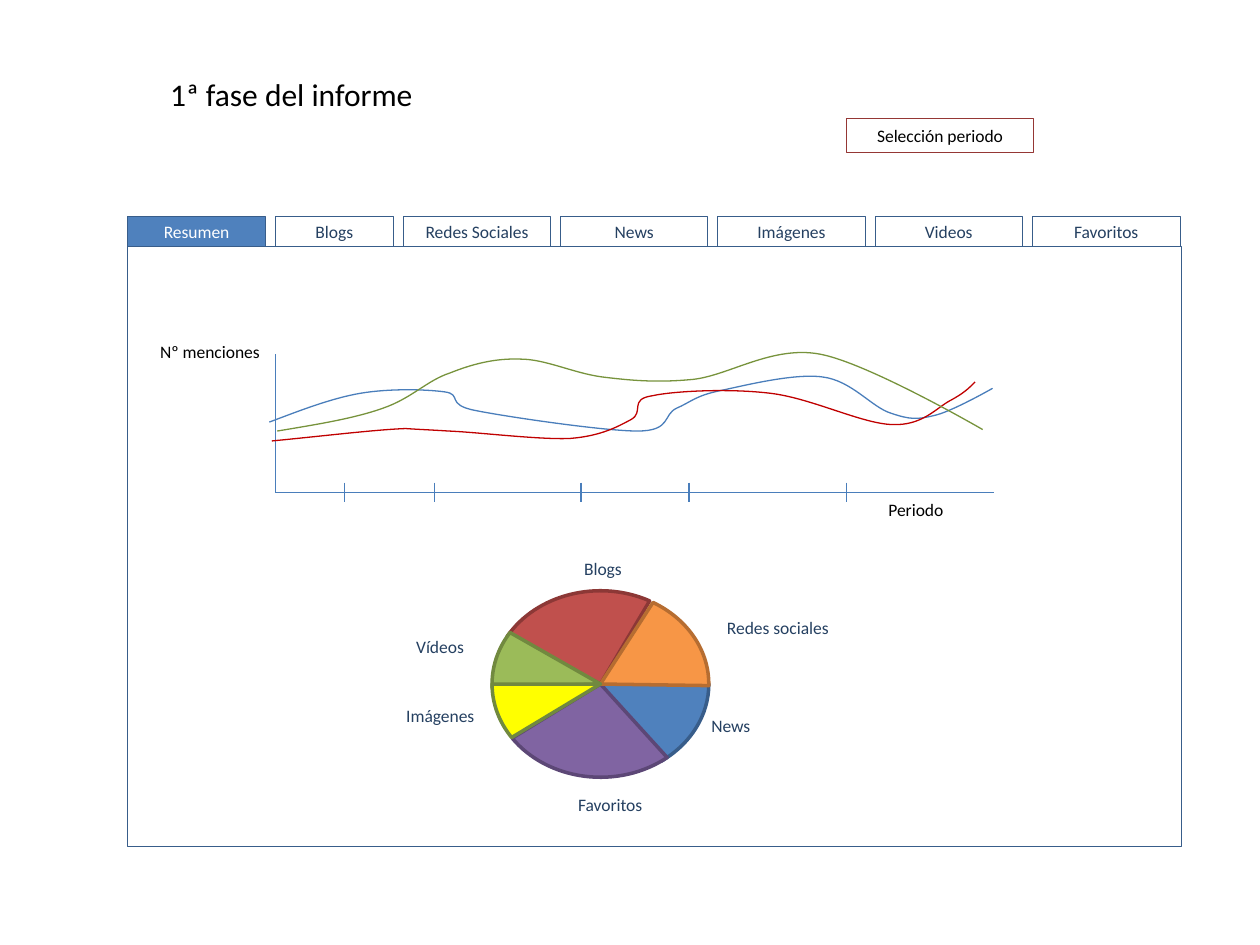
import collections
import math

import lxml.etree
import pptx
import pptx.dml.color
import pptx.enum.shapes
import pptx.enum.text
import pptx.oxml.ns
import pptx.util

Box = collections.namedtuple("Box", "left top width height")
Cm = pptx.util.Cm
ALIGN = pptx.enum.text.PP_ALIGN
ANCHOR = pptx.enum.text.MSO_ANCHOR

BLACK, NAVY, WHITE = "000000", "254061", "FFFFFF"
BORDER, AXIS, ACCENT = "385D8A", "4A7EBB", "4F81BD"
LABEL_HEIGHT = 0.68

TABS = [("Resumen", 2.77), ("Blogs", 2.38), ("Redes Sociales", 2.97), ("News", 2.97),
        ("Imágenes", 2.97), ("Videos", 2.97), ("Favoritos", 2.98)]
TAB_GAP = 0.2

TICKS = [1.38, 3.2, 6.15, 8.33, 11.51]
CURVES = {
    AXIS: [
        (-0.13, 1.37), (0.48, 1.14), (1.12, 0.89), (1.7, 0.79), (2.29, 0.69), (3.02, 0.71),
        (3.4, 0.76), (3.78, 0.81), (3.4, 1.02), (4.04, 1.14), (4.7, 1.27), (6.63, 1.55),
        (7.29, 1.55), (7.98, 1.55), (7.8, 1.22), (8.08, 1.09), (8.36, 0.97), (8.46, 0.84),
        (8.94, 0.74), (9.42, 0.64), (10.44, 0.38), (11.02, 0.46), (11.61, 0.53), (12.01, 1.07),
        (12.4, 1.19), (12.78, 1.32), (12.93, 1.32), (13.26, 1.24), (13.61, 1.17), (14.45, 0.69),
        (14.45, 0.69)],
    "C00000": [
        (-0.08, 1.75), (0.97, 1.65), (2.03, 1.52), (2.62, 1.5), (2.91, 1.52), (3.19, 1.53),
        (3.48, 1.55), (4.04, 1.57), (5.33, 1.73), (5.94, 1.7), (6.55, 1.65), (6.88, 1.47),
        (7.16, 1.32), (7.44, 1.17), (7.11, 0.91), (7.59, 0.84), (8.05, 0.74), (9.17, 0.69),
        (9.98, 0.79), (10.8, 0.89), (11.81, 1.4), (12.42, 1.42), (13.03, 1.45), (13.31, 1.09),
        (13.59, 0.94), (13.87, 0.79), (13.97, 0.69), (14.1, 0.56)],
    "77933C": [
        (0.03, 1.55), (0.81, 1.42), (1.57, 1.3), (2.16, 1.09), (2.74, 0.89), (3.05, 0.53),
        (3.51, 0.38), (3.96, 0.2), (4.42, 0.08), (4.93, 0.1), (5.44, 0.1), (5.99, 0.38),
        (6.58, 0.46), (7.16, 0.53), (7.67, 0.58), (8.41, 0.51), (9.14, 0.43), (10.01, -0.18),
        (10.97, 0), (11.94, 0.18), (14.25, 1.52), (14.25, 1.52)],
}

SECTORS = [(0, 56, ACCENT, BORDER), (210.5, 297, "C0504D", "8C3836"),
           (52, 144.5, "8064A2", "5C4776"), (299, 361, "F79646", "B66D31"),
           (178, 213.5, "9BBB59", "71893F"), (145, 180, "FFFF00", "71893F")]
PIE_LABELS = [("Blogs", 1.6, -0.79, 1.27, ALIGN.CENTER),
              ("Redes sociales", 4.17, 0.4, 3.18, ALIGN.CENTER),
              ("News", 4.17, 2.38, 3.18, ALIGN.LEFT),
              ("Favoritos", 0.79, 3.98, 3.18, ALIGN.CENTER),
              ("Imágenes", -1.98, 2.18, 2.77, ALIGN.LEFT),
              ("Vídeos", -1.78, 0.79, 2.59, ALIGN.LEFT)]


def color(value):
    """Return the colour for a hex string."""
    return pptx.dml.color.RGBColor.from_string(value)


def style(shape, fill, line, width):
    """Set the fill, outline and shadow of a shape."""
    shape.shadow.inherit = False
    if fill:
        shape.fill.solid()
        shape.fill.fore_color.rgb = color(fill)
    else:
        shape.fill.background()
    shape.line.color.rgb = color(line)
    shape.line.width = pptx.util.Pt(width)


def write(shape, text, size, text_color, alignment, anchor=ANCHOR.TOP, wrap=True):
    """Write one paragraph into a shape."""
    frame = shape.text_frame
    frame.word_wrap = wrap
    frame.vertical_anchor = anchor
    paragraph = frame.paragraphs[0]
    paragraph.text = text
    paragraph.alignment = alignment
    paragraph.font.size = pptx.util.Pt(size)
    paragraph.font.name = "Calibri"
    paragraph.font.color.rgb = color(text_color)


def add_label(slide, box, text, size=10, text_color=BLACK, alignment=ALIGN.LEFT, wrap=True):
    """Add a text box."""
    shape = slide.shapes.add_textbox(*map(Cm, box))
    write(shape, text, size, text_color, alignment, wrap=wrap)


def add_rectangle(slide, box, line, fill=None):
    """Add a thinly outlined rectangle."""
    shape = slide.shapes.add_shape(pptx.enum.shapes.MSO_SHAPE.RECTANGLE, *map(Cm, box))
    style(shape, fill, line, 0.5)
    return shape


def add_line(slide, *ends):
    """Add a straight axis line between two points."""
    connector = slide.shapes.add_connector(
        pptx.enum.shapes.MSO_CONNECTOR.STRAIGHT, *map(Cm, ends))
    connector.line.color.rgb = color(AXIS)
    connector.line.width = pptx.util.Pt(0.75)
    properties = connector._element.spPr
    lxml.etree.SubElement(properties, pptx.oxml.ns.qn("a:effectLst"))


def add_curved_shape(shapes, frame, controls, fill, line, width, corner=None):
    """Draw chained cubic curves in a frame, closed through a corner if one is given."""
    right, bottom = frame.left + frame.width, frame.top + frame.height
    builder = shapes.build_freeform(Cm(frame.left), Cm(frame.top))
    builder.add_line_segments([(Cm(right), Cm(frame.top)), (Cm(right), Cm(bottom)),
                               (Cm(frame.left), Cm(bottom))])
    shape = builder.convert_to_shape()
    outline = next(shape._element.iter(pptx.oxml.ns.qn("a:path")))
    for command in list(outline):
        outline.remove(command)

    def add_command(name, points=()):
        command = lxml.etree.SubElement(outline, pptx.oxml.ns.qn(name))
        for x, y in points:
            lxml.etree.SubElement(command, pptx.oxml.ns.qn("a:pt"), x=str(Cm(x)), y=str(Cm(y)))

    add_command("a:moveTo", controls[:1])
    for first in range(1, len(controls), 3):
        add_command("a:cubicBezTo", controls[first:first + 3])
    if corner:
        add_command("a:lnTo", [corner])
        add_command("a:close")
    style(shape, fill, line, width)


def arc_controls(start, end, radius_x, radius_y):
    """Return the cubic control points of an elliptical arc in its own box."""
    pieces = math.ceil((end - start) / 90)
    step = math.radians(end - start) / pieces
    reach = 4 / 3 * math.tan(step / 4)

    def place(angle, tangent):
        return (radius_x * (1 + math.cos(angle) - tangent * math.sin(angle)),
                radius_y * (1 + math.sin(angle) + tangent * math.cos(angle)))

    controls = [place(math.radians(start), 0)]
    for piece in range(pieces):
        angle = math.radians(start) + piece * step
        controls += [place(angle, reach), place(angle + step, -reach), place(angle + step, 0)]
    return controls


def add_header(slide, box):
    """Place the title and the period selector."""
    add_label(slide, Box(box.left, box.top, box.width, 1.02), "1ª fase del informe", size=18)
    selector = add_rectangle(
        slide, Box(box.left + 13.89, box.top + 1.01, 3.76, LABEL_HEIGHT), "953735")
    write(selector, "Selección periodo", 10, BLACK, ALIGN.CENTER)


def add_tabbed_panel(slide, box, tab_height=0.6):
    """Place the row of tabs and the panel below it."""
    add_rectangle(slide, Box(box.left, box.top + tab_height, box.width, box.height - tab_height),
                  BORDER)
    left = box.left
    for index, (name, width) in enumerate(TABS):
        active = index == 0
        tab = add_rectangle(slide, Box(left, box.top, width, tab_height), BORDER,
                            ACCENT if active else None)
        write(tab, name, 10, WHITE if active else NAVY, ALIGN.CENTER, ANCHOR.MIDDLE)
        left += width + TAB_GAP


def add_mentions_graph(slide, box):
    """Place the axes, ticks, curves and axis labels."""
    bottom = box.top + box.height
    add_line(slide, box.left, box.top, box.left, bottom)
    add_line(slide, box.left, bottom, box.left + box.width, bottom)
    for tick in TICKS:
        add_line(slide, box.left + tick, bottom - 0.2, box.left + tick, bottom + 0.2)
    for line, controls in CURVES.items():
        columns, rows = zip(*controls)
        x, y = min(columns), min(rows)
        frame = Box(box.left + x, box.top + y, max(columns) - x, max(rows) - y)
        add_curved_shape(slide.shapes, frame, [(column - x, row - y) for column, row in controls],
                         None, line, 0.75)
    add_label(slide, Box(box.left - 2.58, box.top - 0.4, 2.77, LABEL_HEIGHT), "Nº menciones")
    add_label(slide, Box(box.left + 12.1, bottom, 2.77, LABEL_HEIGHT), "Periodo")


def add_source_pie(slide, box):
    """Place the pie sectors and the labels around them."""
    center = box.width / 2, box.height / 2
    group = slide.shapes.add_group_shape()
    for start, end, fill, line in SECTORS:
        add_curved_shape(group.shapes, box, arc_controls(start, end, *center),
                         fill, line, 2, center)
    for text, x, y, width, alignment in PIE_LABELS:
        add_label(slide, Box(box.left + x, box.top + y, width, LABEL_HEIGHT), text,
                  text_color=NAVY, alignment=alignment, wrap=text != "Blogs")


def main():
    """Build the report slide and save it."""
    presentation = pptx.Presentation()
    presentation.slide_width, presentation.slide_height = Cm(25.4), Cm(19.05)
    slide = presentation.slides.add_slide(presentation.slide_layouts[6])
    add_header(slide, Box(3.18, 1.38, 19.63, 1.68))
    add_tabbed_panel(slide, Box(2.58, 4.37, 21.24, 12.7))
    add_mentions_graph(slide, Box(5.56, 7.14, 14.48, 2.79))
    add_source_pie(slide, Box(9.92, 11.91, 4.37, 3.76))
    presentation.save("out.pptx")


if __name__ == "__main__":
    main()
